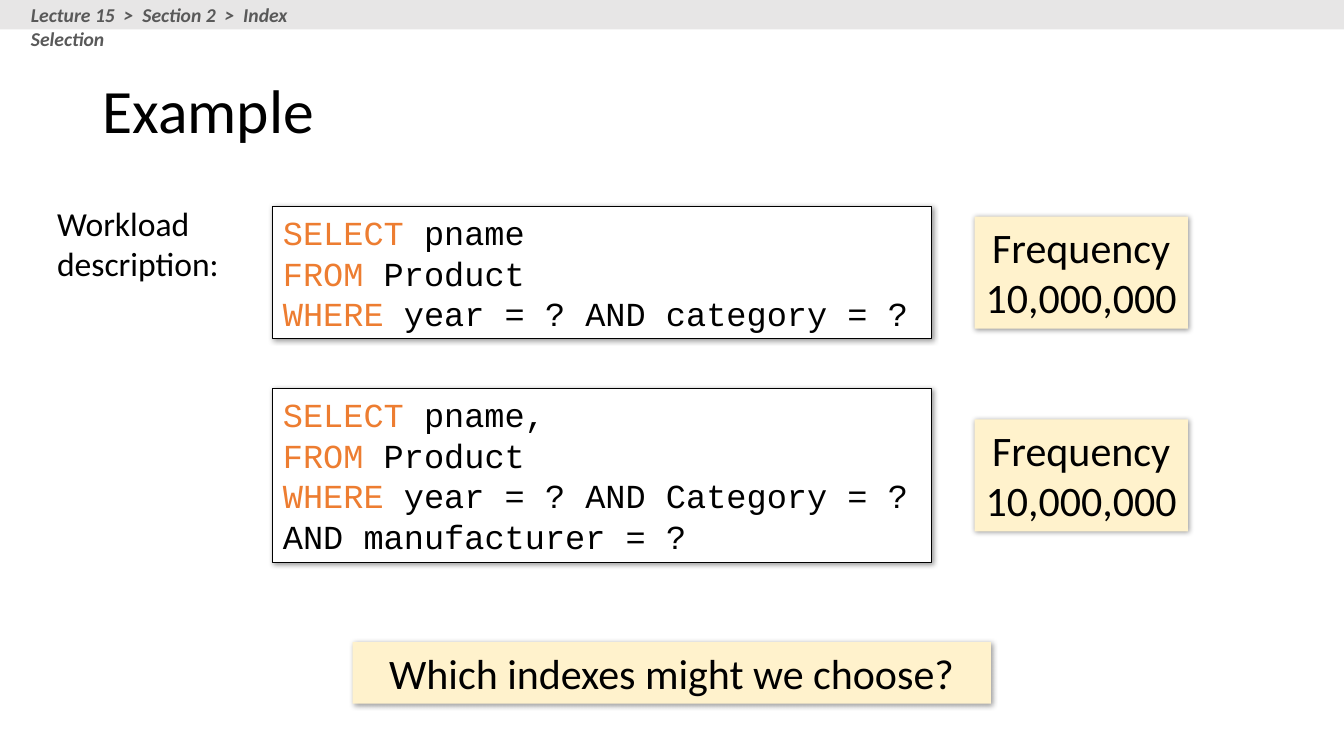
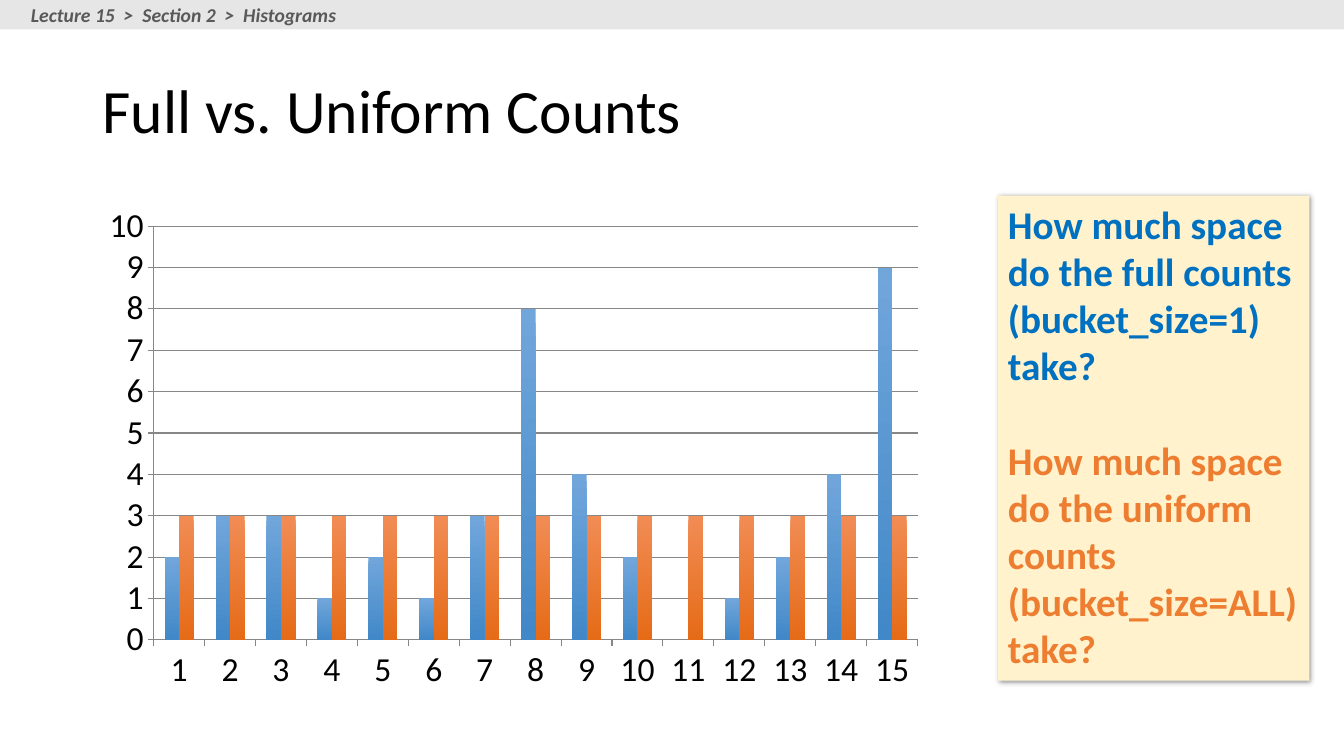
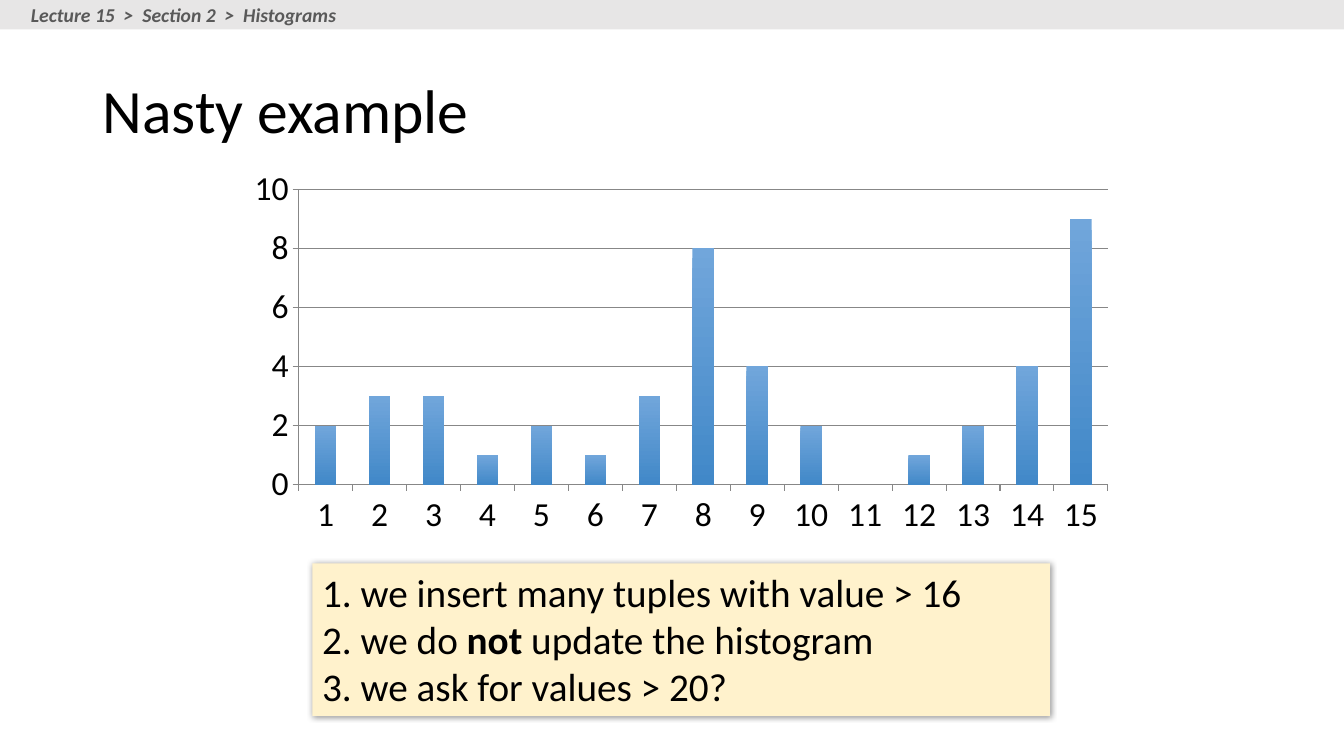
"""Build three lecture slides on index selection and histograms."""
from dataclasses import dataclass

from lxml import etree
from pptx import Presentation
from pptx.chart.data import CategoryChartData
from pptx.dml.color import RGBColor
from pptx.enum.chart import XL_CHART_TYPE, XL_TICK_MARK
from pptx.enum.shapes import MSO_SHAPE
from pptx.enum.text import MSO_ANCHOR, PP_ALIGN
from pptx.oxml.ns import qn
from pptx.util import Cm, Pt

COLUMNS = XL_CHART_TYPE.COLUMN_CLUSTERED
TICK_OUTSIDE = XL_TICK_MARK.OUTSIDE
RECTANGLE = MSO_SHAPE.RECTANGLE
TOP, MIDDLE = MSO_ANCHOR.TOP, MSO_ANCHOR.MIDDLE
LEFT, CENTER = PP_ALIGN.LEFT, PP_ALIGN.CENTER

COLORS = {
    "black": "000000",
    "white": "FFFFFF",
    "band": "E7E6E6",
    "breadcrumb": "595959",
    "cream": "FFF2CC",
    "blue": "0070C0",
    "orange": "ED7D31",
    "axis": "878787",
    "blue_light": "71A6DB",
    "blue_dark": "4188C8",
    "orange_light": "F18C55",
    "orange_dark": "E56B17",
}
BODY_FONT = "Calibri"
CODE_FONT = "Courier New"
SLIDE_WIDTH, SLIDE_HEIGHT = 33.87, 19.05
FULL_COUNTS = (2, 3, 3, 1, 2, 1, 3, 8, 4, 2, 0, 1, 2, 4, 9)
UNIFORM_COUNTS = (3,) * 15


@dataclass
class Box:
    """Place and size in centimetres."""
    left: float
    top: float
    width: float
    height: float

    def lengths(self) -> tuple:
        return Cm(self.left), Cm(self.top), Cm(self.width), Cm(self.height)


@dataclass
class Span:
    """Words that share one look."""
    text: str
    color: str = "black"
    bold: bool = False
    italic: bool = False


@dataclass
class TextStyle:
    """Look of all the text in one shape."""
    size: int
    font: str = BODY_FONT
    align: PP_ALIGN = LEFT
    line_spacing: float | None = None
    paragraph_gap: int = 0


@dataclass
class Series:
    """One set of columns with its gradient."""
    name: str
    values: tuple
    color: str


CODE_STYLE = TextStyle(24, CODE_FONT, line_spacing=Pt(29))
CALLOUT_STYLE = TextStyle(30, align=CENTER)
FULL_SERIES = Series("Series 1", FULL_COUNTS, "blue")
UNIFORM_SERIES = Series("Series 2", UNIFORM_COUNTS, "orange")


def rgb(name: str) -> RGBColor:
    return RGBColor.from_string(COLORS[name])


def write_text(shape, paragraphs: list, style: TextStyle, anchor=TOP) -> None:
    frame = shape.text_frame
    frame.word_wrap = True
    frame.vertical_anchor = anchor
    for index, spans in enumerate(paragraphs):
        paragraph = frame.add_paragraph() if index else frame.paragraphs[0]
        paragraph.alignment = style.align
        if style.line_spacing:
            paragraph.line_spacing = style.line_spacing
        if index and style.paragraph_gap:
            paragraph.space_before = Pt(style.paragraph_gap)
        for span in spans:
            run = paragraph.add_run()
            run.text = span.text
            run.font.name = style.font
            run.font.size = Pt(style.size)
            run.font.bold = span.bold
            run.font.italic = span.italic
            run.font.color.rgb = rgb(span.color)


def add_shadow(shape) -> None:
    effects = shape._element.spPr.find(qn("a:effectLst"))
    shadow = etree.SubElement(effects, qn("a:outerShdw"), blurRad="50800",
                              dist="12700", dir="2700000", algn="tl", rotWithShape="0")
    color = etree.SubElement(shadow, qn("a:srgbClr"), val=COLORS["black"])
    etree.SubElement(color, qn("a:alpha"), val="40000")


def add_rectangle(shapes, box: Box, fill: str):
    shape = shapes.add_shape(RECTANGLE, *box.lengths())
    shape.shadow.inherit = False
    shape.fill.solid()
    shape.fill.fore_color.rgb = rgb(fill)
    shape.line.fill.background()
    return shape


def add_panel(slide, box: Box, paragraphs: list, style: TextStyle):
    panel = add_rectangle(slide.shapes, box, "cream")
    add_shadow(panel)
    write_text(panel, paragraphs, style)
    return panel


def add_code(slide, box: Box, lines: list) -> None:
    paragraphs = [[Span(keyword, "orange"), Span(rest)] if keyword else [Span(rest)]
                  for keyword, rest in lines]
    panel = add_panel(slide, box, paragraphs, CODE_STYLE)
    panel.fill.fore_color.rgb = rgb("white")
    panel.line.color.rgb = rgb("black")
    panel.line.width = Pt(0.75)


def add_header(slide, topic: str) -> None:
    header = slide.shapes.add_group_shape()
    add_rectangle(header.shapes, Box(0, 0, SLIDE_WIDTH, 0.74), "band")
    breadcrumb = header.shapes.add_textbox(*Box(0.53, -0.05, 8.79, 0.86).lengths())
    text = "  >  ".join(("Lecture 15", "Section 2", topic))
    write_text(breadcrumb, [[Span(text, "breadcrumb", True, True)]], TextStyle(14))


def add_titled_slide(presentation, title: str, topic: str):
    slide = presentation.slides.add_slide(presentation.slide_layouts[5])
    shape = slide.shapes.title
    shape.left, shape.top, shape.width, shape.height = Box(2.33, 1.01, 29.21, 3.68).lengths()
    write_text(shape, [[Span(title)]], TextStyle(44, line_spacing=0.9), MIDDLE)
    add_header(slide, topic)
    return slide


def add_histogram(slide, box: Box, series_list: list, major_unit: int) -> None:
    data = CategoryChartData()
    data.categories = [str(number) for number in range(1, len(FULL_COUNTS) + 1)]
    for series in series_list:
        data.add_series(series.name, series.values)
    chart = slide.shapes.add_chart(COLUMNS, *box.lengths(), data).chart
    chart.has_legend = False
    chart.has_title = False
    chart.font.name = BODY_FONT
    chart.font.size = Pt(24)
    chart.font.color.rgb = rgb("black")
    for axis in (chart.category_axis, chart.value_axis):
        axis.major_tick_mark = TICK_OUTSIDE
        axis.format.line.color.rgb = rgb("axis")
        axis.tick_labels.font.size = Pt(24)
    values = chart.value_axis
    values.minimum_scale, values.maximum_scale = 0, 10
    values.major_unit = major_unit
    values.has_major_gridlines = True
    values.major_gridlines.format.line.color.rgb = rgb("axis")
    plot = chart.plots[0]
    plot.gap_width = 150
    plot.overlap = 0
    plot.vary_by_categories = False
    for columns, series in zip(plot.series, series_list):
        fill = columns.format.fill
        fill.gradient()
        fill.gradient_angle = 270
        for stop, shade in zip(fill.gradient_stops, ("light", "dark")):
            stop.color.rgb = rgb(f"{series.color}_{shade}")


def build_workload_slide(presentation) -> None:
    slide = add_titled_slide(presentation, "Example", "Index Selection")
    label = slide.shapes.add_textbox(*Box(1.19, 4.98, 4.83, 2.31).lengths())
    write_text(label, [[Span("Workload description:")]], TextStyle(24))
    add_code(slide, Box(6.88, 5.21, 16.59, 3.33), [
        ("SELECT", " pname"),
        ("FROM", " Product"),
        ("WHERE", " year = ? AND category = ?"),
    ])
    add_code(slide, Box(6.88, 9.8, 16.59, 4.37), [
        ("SELECT", " pname,"),
        ("FROM", " Product"),
        ("WHERE", " year = ? AND Category = ?"),
        ("", "AND manufacturer = ?"),
    ])
    for top in (5.46, 10.57):
        add_panel(slide, Box(24.56, top, 5.38, 2.82),
                  [[Span("Frequency")], [Span("10,000,000")]], CALLOUT_STYLE)
    add_panel(slide, Box(8.89, 16.18, 16.08, 1.55),
              [[Span("Which indexes might we choose?")]], CALLOUT_STYLE)


def build_counts_slide(presentation) -> None:
    slide = add_titled_slide(presentation, "Full vs. Uniform Counts", "Histograms")
    add_histogram(slide, Box(2.34, 4.93, 21.21, 12.73), [FULL_SERIES, UNIFORM_SERIES], 1)
    add_panel(slide, Box(25.15, 4.93, 7.85, 12.22), [
        [Span("How much space do the full counts (bucket_size=1) take?", "blue", True)],
        [Span("How much space do the uniform counts (bucket_size=ALL) take?", "orange", True)],
    ], TextStyle(28, paragraph_gap=34))


def build_nasty_slide(presentation) -> None:
    slide = add_titled_slide(presentation, "Nasty example", "Histograms")
    add_histogram(slide, Box(5.97, 4.06, 22.4, 9.63), [FULL_SERIES], 2)
    add_panel(slide, Box(7.87, 14.2, 18.59, 3.84), [
        [Span("1. we insert many tuples with value > 16")],
        [Span("2. we do "), Span("not ", bold=True), Span("update the histogram")],
        [Span("3. we ask for values > 20?")],
    ], TextStyle(28))


def main() -> None:
    presentation = Presentation()
    presentation.slide_width = Cm(SLIDE_WIDTH)
    presentation.slide_height = Cm(SLIDE_HEIGHT)
    build_workload_slide(presentation)
    build_counts_slide(presentation)
    build_nasty_slide(presentation)
    presentation.save("out.pptx")


if __name__ == "__main__":
    main()
